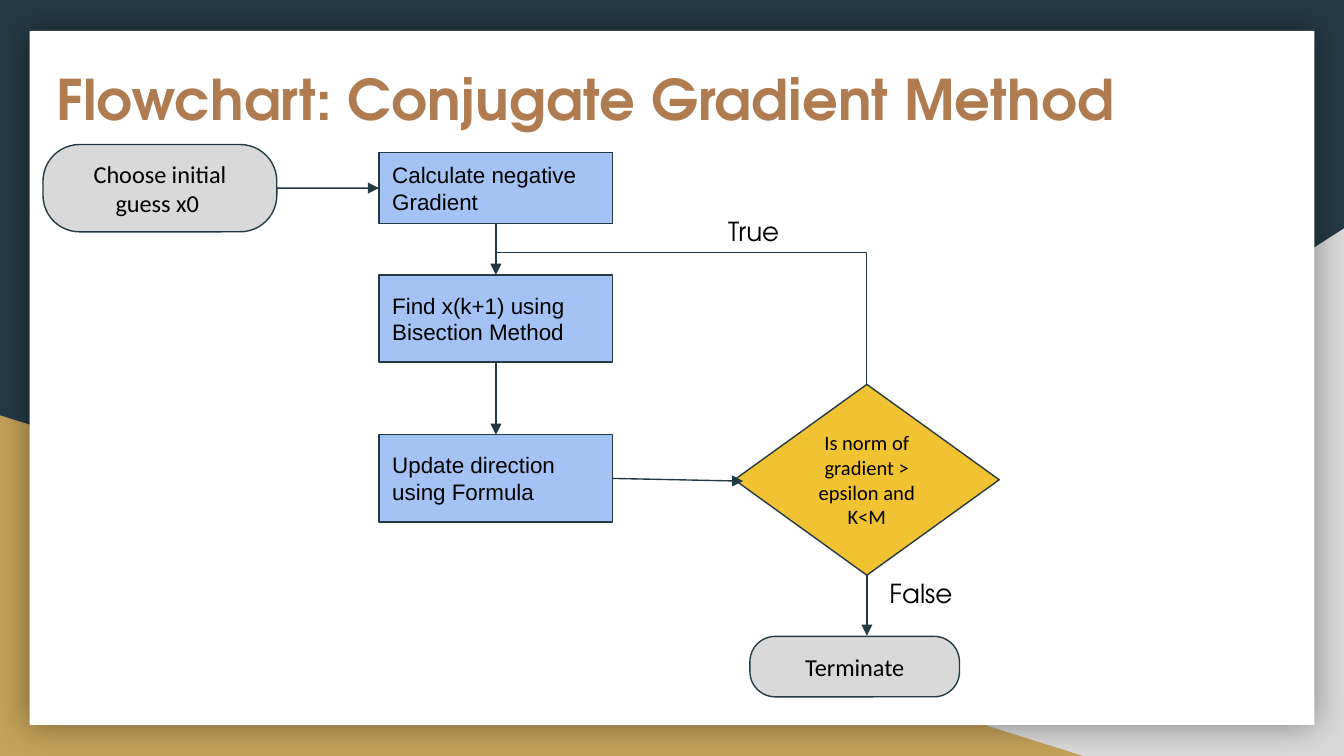
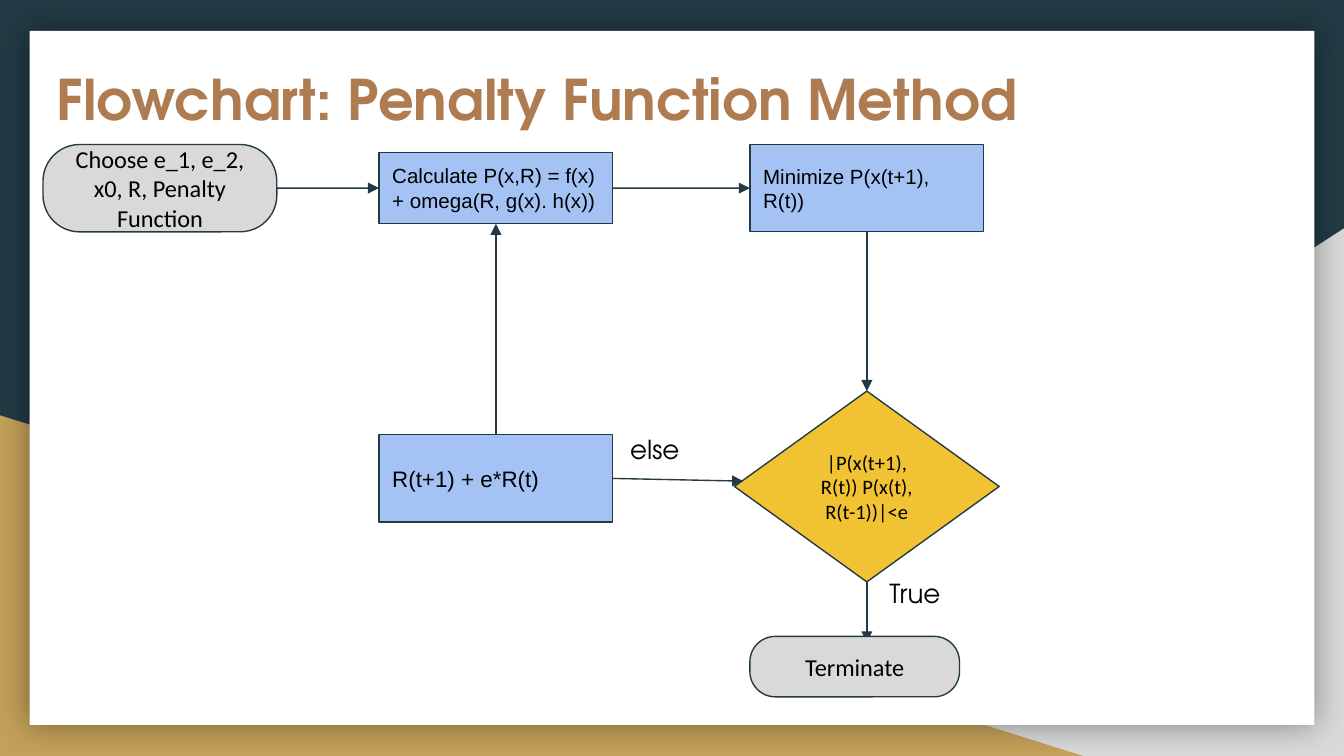
"""Build two flowchart slides that share one framed layout."""
from dataclasses import dataclass

from lxml.etree import SubElement
from pptx import Presentation
from pptx.dml.color import RGBColor
from pptx.enum.shapes import MSO_CONNECTOR as Connector, MSO_SHAPE as Shape
from pptx.enum.text import MSO_ANCHOR as Anchor, MSO_AUTO_SIZE as AutoSize, PP_ALIGN as Align
from pptx.oxml.ns import qn
from pptx.util import Inches, Pt


@dataclass(frozen=True)
class Theme:
    """Colours, fonts and type sizes of the deck."""
    navy: str = "233A44"
    grey: str = "D9D9D9"
    gold: str = "C4A15A"
    white: str = "FFFFFF"
    bronze: str = "AF7B51"
    blue: str = "A4C2F4"
    yellow: str = "F1C232"
    black: str = "000000"
    display: str = "TeX Gyre Adventor"
    process: str = "Arial"
    rounded: str = "Calibri"
    title_size: int = 30
    label_size: int = 14
    terminal_size: int = 13
    step_size: int = 12
    small_size: int = 11
    line_width: float = 0.75


theme = Theme()
WIDTH, HEIGHT = 10, 10 * 9 / 16
LEFT, MIDDLE, RIGHT = 1.19, 3.69, 6.45
TOP_ROW, SECOND_ROW, THIRD_ROW, LAST_ROW = 1.4, 2.37, 3.56, 4.96
BOX_WIDTH, BOX_HEIGHT, LOW_HEIGHT = 1.74, 0.65, 0.53
DIAMOND_WIDTH, DIAMOND_HEIGHT = 1.97, 1.42
TOP, WEST, BOTTOM, EAST = range(4)


def write_text(shape, text, font=theme.display, size=theme.label_size, color=theme.black,
               bold=False, align=Align.LEFT, anchor=Anchor.TOP):
    """Fill a shape with one formatted paragraph."""
    frame = shape.text_frame
    frame.word_wrap, frame.auto_size, frame.vertical_anchor = True, AutoSize.NONE, anchor
    frame.margin_left = frame.margin_right = frame.margin_top = frame.margin_bottom = Inches(0.1)
    paragraph = frame.paragraphs[0]
    paragraph.alignment = align
    run = paragraph.add_run()
    run.text = text
    run.font.name, run.font.size, run.font.bold = font, Pt(size), bold
    run.font.color.rgb = RGBColor.from_string(color)


def style_line(connector, arrow=True):
    """Give a connector the deck's stroke, without a shadow."""
    connector.line.color.rgb = RGBColor.from_string(theme.navy)
    connector.line.width = Pt(theme.line_width)
    if arrow:
        SubElement(connector.line._get_or_add_ln(), qn("a:tailEnd"), type="triangle")
    SubElement(connector._element.spPr, qn("a:effectLst"))


KINDS = {
    "terminal": (Shape.ROUNDED_RECTANGLE, theme.grey, theme.rounded, Align.CENTER),
    "step": (Shape.RECTANGLE, theme.blue, theme.process, Align.LEFT),
    "decision": (Shape.DIAMOND, theme.yellow, theme.rounded, Align.CENTER),
}
FLOWCHARTS = [
    {
        "title": "Flowchart: Conjugate Gradient Method",
        "decision_row": 3.57,
        "nodes": {
            "start": ("terminal", LEFT, TOP_ROW, BOX_HEIGHT, "Choose initial guess x0 ", theme.terminal_size),
            "calculate": ("step", MIDDLE, TOP_ROW, LOW_HEIGHT, "Calculate negative Gradient", theme.step_size),
            "find": ("step", MIDDLE, SECOND_ROW, BOX_HEIGHT, "Find x(k+1) using Bisection Method", theme.step_size),
            "update": ("step", MIDDLE, THIRD_ROW, BOX_HEIGHT, "Update direction using Formula", theme.step_size),
        },
        "decision": "Is norm of gradient > epsilon and K<M",
        "links": [("start", EAST, "calculate", WEST), ("calculate", BOTTOM, "find", TOP),
                  ("find", BOTTOM, "update", TOP)],
        "loop_back": True,
        "labels": [("True", 5.32, 1.52), ("False", 6.52, 4.21)],
    },
    {
        "title": "Flowchart: Penalty Function Method",
        "decision_row": 3.62,
        "nodes": {
            "start": ("terminal", LEFT, TOP_ROW, BOX_HEIGHT, "Choose e_1, e_2, x0, R, Penalty Function",
                      theme.terminal_size),
            "calculate": ("step", MIDDLE, TOP_ROW, LOW_HEIGHT, "Calculate P(x,R) = f(x) + omega(R, g(x). h(x))",
                          theme.small_size),
            "minimize": ("step", RIGHT, TOP_ROW, BOX_HEIGHT, "Minimize P(x(t+1), R(t))", theme.small_size),
            "update": ("step", MIDDLE, THIRD_ROW, BOX_HEIGHT, "R(t+1) + e*R(t)", theme.step_size),
        },
        "decision": "|P(x(t+1), R(t)) P(x(t), R(t-1))|<e",
        "links": [("start", EAST, "calculate", WEST), ("update", TOP, "calculate", BOTTOM),
                  ("calculate", EAST, "minimize", WEST), ("minimize", BOTTOM, "decision", TOP)],
        "loop_back": False,
        "labels": [("True", 6.52, 4.21), ("else", 4.59, 3.14)],
    },
]

presentation = Presentation()
presentation.slide_width, presentation.slide_height = Inches(WIDTH), Inches(HEIGHT)
layout = presentation.slide_layouts[5]
layout.background.fill.solid()
layout.background.fill.fore_color.rgb = RGBColor.from_string(theme.navy)
slides = [presentation.slides.add_slide(layout) for flowchart in FLOWCHARTS]

FRAME = [
    (Shape.RIGHT_TRIANGLE, theme.grey, 3.92, 1.7, WIDTH - 3.92, HEIGHT - 1.7),
    (Shape.RIGHT_TRIANGLE, theme.gold, 0, 3.09, 8.06, HEIGHT - 3.09),
    (Shape.RECTANGLE, theme.white, 0.22, 0.23, WIDTH - 0.44, HEIGHT - 0.46),
]
for position, (preset, color, *box) in enumerate(FRAME, start=2):
    shape = slides[0].shapes.add_shape(preset, *map(Inches, box))
    shape.shadow.inherit = False
    shape.fill.solid()
    shape.fill.fore_color.rgb = RGBColor.from_string(color)
    shape.line.fill.background()
    properties = shape._element.spPr
    if color == theme.grey:
        properties.xfrm.set("flipH", "1")
    if color == theme.white:
        shadow = SubElement(properties.find(qn("a:effectLst")), qn("a:outerShdw"),
                            blurRad=str(Pt(18)), dist="0", algn="ctr", rotWithShape="0")
        shade = SubElement(shadow, qn("a:srgbClr"), val=theme.black)
        SubElement(shade, qn("a:alpha"), val="40000")
    layout.shapes._spTree.insert(position, shape._element)

for slide, flowchart in zip(slides, FLOWCHARTS):
    title = slide.shapes.title
    title.left, title.top, title.width, title.height = map(Inches, (0.32, 0.38, 8.94, 1.04))
    write_text(title, flowchart["title"], size=theme.title_size, color=theme.bronze, bold=True)

    row = flowchart["decision_row"]
    decision_bottom = row + DIAMOND_HEIGHT / 2
    nodes = {name: (kind, x, y, BOX_WIDTH, height, text, size)
             for name, (kind, x, y, height, text, size) in flowchart["nodes"].items()}
    nodes["decision"] = ("decision", RIGHT, row, DIAMOND_WIDTH, DIAMOND_HEIGHT,
                         flowchart["decision"], theme.small_size)
    nodes["end"] = ("terminal", 6.36, LAST_ROW, 1.56, 0.45, "Terminate", theme.terminal_size)
    shapes = {}
    for name, (kind, x, y, width, height, text, size) in nodes.items():
        preset, color, font, align = KINDS[kind]
        shape = slide.shapes.add_shape(preset, *map(Inches, (x - width / 2, y - height / 2, width, height)))
        shape.shadow.inherit = False
        shape.fill.solid()
        shape.fill.fore_color.rgb = RGBColor.from_string(color)
        shape.line.color.rgb = RGBColor.from_string(theme.navy)
        shape.line.width = Pt(theme.line_width)
        if kind == "terminal":
            shape.adjustments[0] = 0.42
        write_text(shape, text, font=font, size=size, align=align, anchor=Anchor.MIDDLE)
        shapes[name] = shape

    for source, source_side, target, target_side in flowchart["links"]:
        connector = slide.shapes.add_connector(Connector.STRAIGHT, 0, 0, 0, 0)
        connector.begin_connect(shapes[source], source_side)
        connector.end_connect(shapes[target], target_side)
        style_line(connector)

    for source, side, x, y in [("update", EAST, 5.53, 3.58),
                               ("decision", BOTTOM, RIGHT, decision_bottom + 0.45)]:
        connector = slide.shapes.add_connector(Connector.STRAIGHT, 0, 0, Inches(x), Inches(y))
        connector.begin_connect(shapes[source], side)
        style_line(connector)
    slide.shapes._spTree.append(shapes["end"]._element)

    if flowchart["loop_back"]:
        low, high = row - DIAMOND_HEIGHT / 2, TOP_ROW + LOW_HEIGHT / 2
        x, y = (MIDDLE + RIGHT) / 2, (low + high) / 2
        rise, run = (low - high) / 2, (RIGHT - MIDDLE) / 2
        connector = slide.shapes.add_connector(
            Connector.ELBOW, *map(Inches, (x + rise, y - run, x - rise, y + run)))
        properties = connector._element.spPr
        properties.xfrm.set("rot", str(90 * 60000))
        adjustments = properties.find(qn("a:prstGeom")).get_or_add_avLst()
        SubElement(adjustments, qn("a:gd"), name="adj1", fmla="val 82000")
        style_line(connector, arrow=False)

    for text, x, y in flowchart["labels"]:
        label = slide.shapes.add_textbox(*map(Inches, (x, y, 0.96, 0.17)))
        write_text(label, text)

presentation.save("out.pptx")
